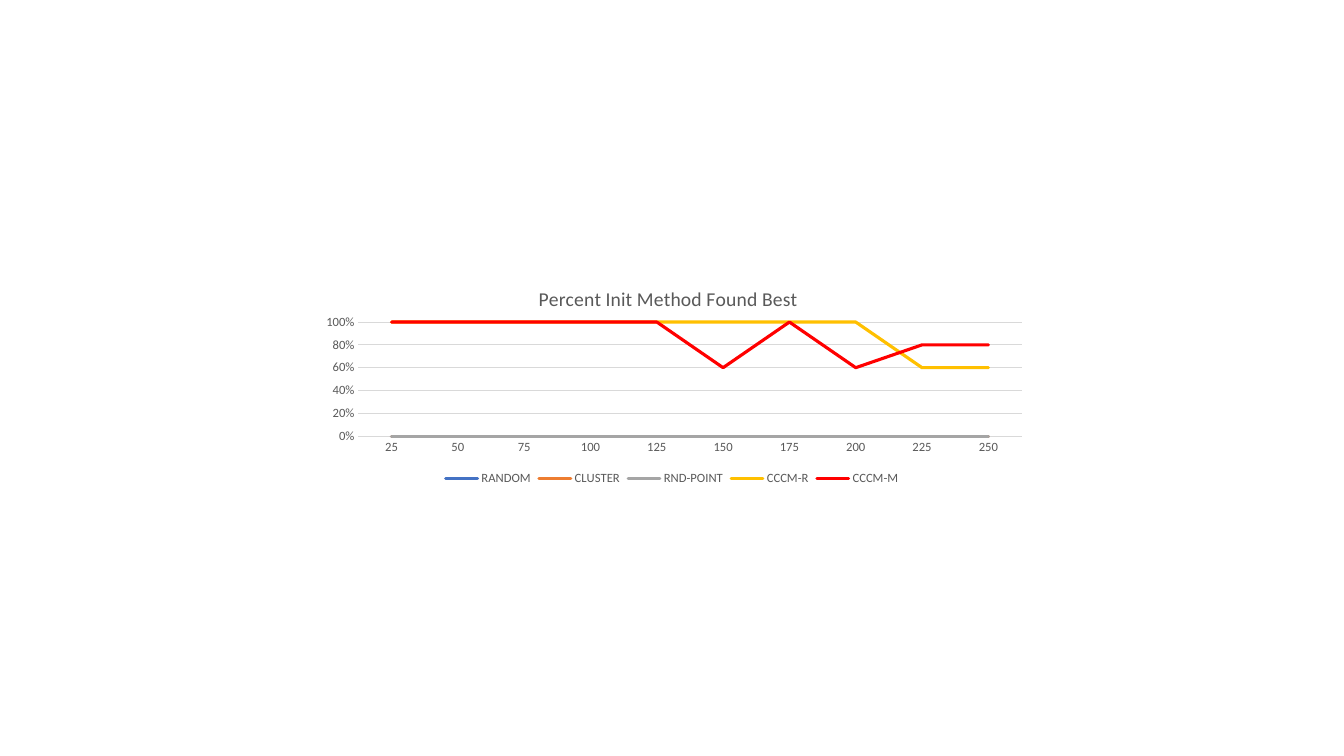
"""Build a slide with a line chart of how often each init method found the best result."""
from lxml import etree
from pptx import Presentation
from pptx.chart.data import CategoryChartData
from pptx.dml.color import RGBColor
from pptx.enum.chart import XL_CHART_TYPE, XL_LEGEND_POSITION, XL_TICK_MARK
from pptx.oxml.ns import qn
from pptx.util import Inches, Pt

LINE_CHART = XL_CHART_TYPE.LINE
LEGEND_BOTTOM = XL_LEGEND_POSITION.BOTTOM
NO_TICK = XL_TICK_MARK.NONE
FONT = "Calibri"
COLORS = {
    "text": "595959",
    "grid": "D9D9D9",
    "RANDOM": "4472C4",
    "CLUSTER": "ED7D31",
    "RND-POINT": "A5A5A5",
    "CCCM-R": "FFC000",
    "CCCM-M": "FF0000",
}


def style_font(font, size=9, color="text", bold=False):
    font.name = FONT
    font.size = Pt(size)
    font.bold = bold
    font.color.rgb = RGBColor.from_string(COLORS[color])


def write_text(frame, text, **font_format):
    span = frame.paragraphs[0].add_run()
    span.text = text
    style_font(span.font, **font_format)


deck = Presentation()
deck.slide_width = Inches(13.33)
deck.slide_height = Inches(7.5)
page = deck.slides.add_slide(deck.slide_layouts[6])

series_values = {
    "RANDOM": [0] * 10,
    "CLUSTER": [0] * 10,
    "RND-POINT": [0] * 10,
    "CCCM-R": [1] * 8 + [0.6] * 2,
    "CCCM-M": [1] * 5 + [0.6, 1, 0.6, 0.8, 0.8],
}
chart_data = CategoryChartData(number_format="0%")
chart_data.categories = [str(size) for size in range(25, 251, 25)]
for name, values in series_values.items():
    chart_data.add_series(name, values)

chart = page.shapes.add_chart(
    LINE_CHART, Inches(3.09), Inches(2.64), Inches(7.15), Inches(2.22), chart_data
).chart
style_font(chart.font, size=10)
chart.plots[0].vary_by_categories = False

for series in chart.plots[0].series:
    series.smooth = False
    series.format.line.width = Pt(2.25)
    series.format.line.color.rgb = RGBColor.from_string(COLORS[series.name])
    series.format.line._get_or_add_ln().set("cap", "rnd")

chart.has_title = True
write_text(chart.chart_title.text_frame, "Percent Init Method Found Best", size=14)
chart.chart_title.include_in_layout = False

chart.has_legend = True
chart.legend.position = LEGEND_BOTTOM
chart.legend.include_in_layout = False
style_font(chart.legend.font)

category_axis, value_axis = chart.category_axis, chart.value_axis
for axis in (category_axis, value_axis):
    axis.major_tick_mark = NO_TICK
    axis.minor_tick_mark = NO_TICK
    style_font(axis.tick_labels.font)

value_axis.minimum_scale = 0
value_axis.maximum_scale = 1
value_axis.major_unit = 0.2
value_axis.tick_labels.number_format = "0%"
value_axis.tick_labels.number_format_is_linked = False
value_axis.format.line.fill.background()
for line in (category_axis.format.line, value_axis.major_gridlines.format.line):
    line.width = Pt(0.75)
    line.color.rgb = RGBColor.from_string(COLORS["grid"])

title = chart.chart_title.element
plot_area = title.getparent().find(qn("c:plotArea"))
placements = [
    (title, 1, {"xMode": "edge", "yMode": "edge", "x": 0.31, "y": 0.07}),
    (plot_area, 0, {"layoutTarget": "inner", "xMode": "edge", "yMode": "edge",
                    "x": 0.065, "y": 0.25, "w": 0.92, "h": 0.51}),
]
for part, position, settings in placements:
    for old_layout in part.findall(qn("c:layout")):
        part.remove(old_layout)
    layout = etree.Element(qn("c:layout"))
    manual = etree.SubElement(layout, qn("c:manualLayout"))
    for tag, value in settings.items():
        etree.SubElement(manual, qn(f"c:{tag}")).set("val", str(value))
    part.insert(position, layout)

deck.save("out.pptx")
